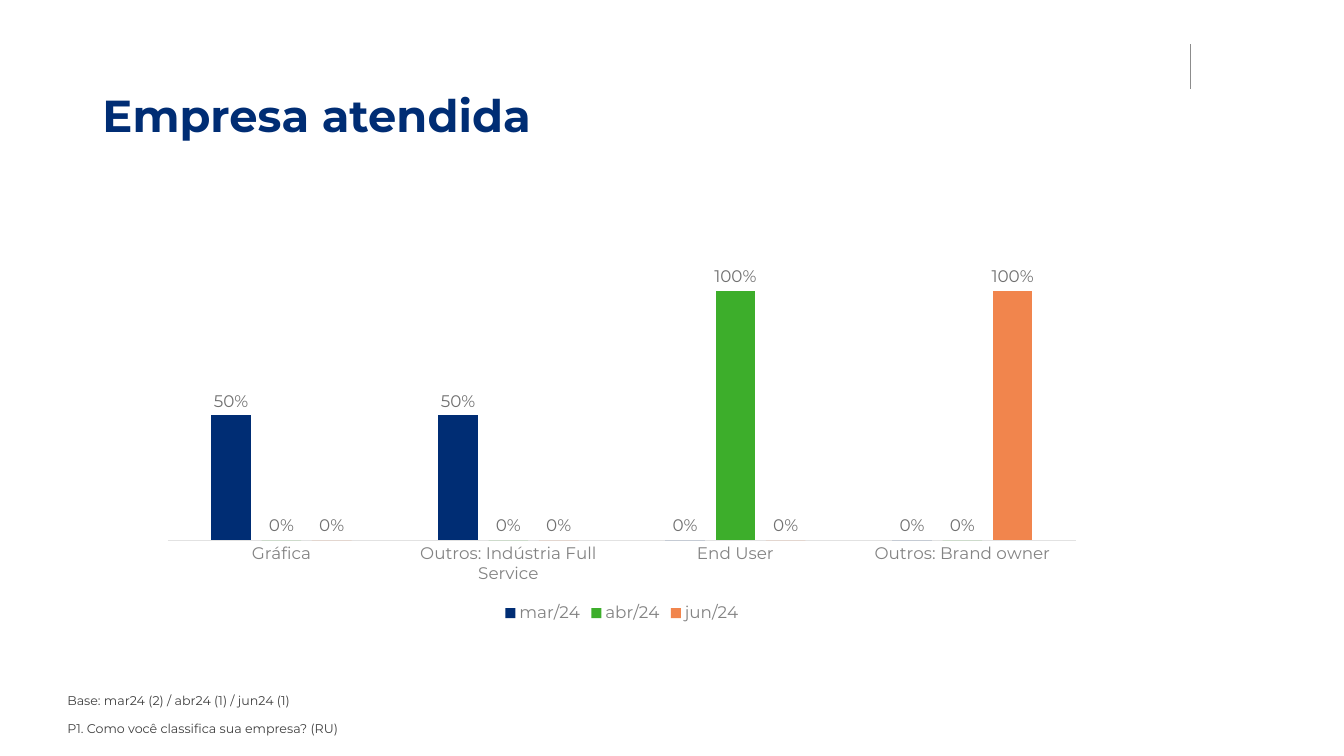
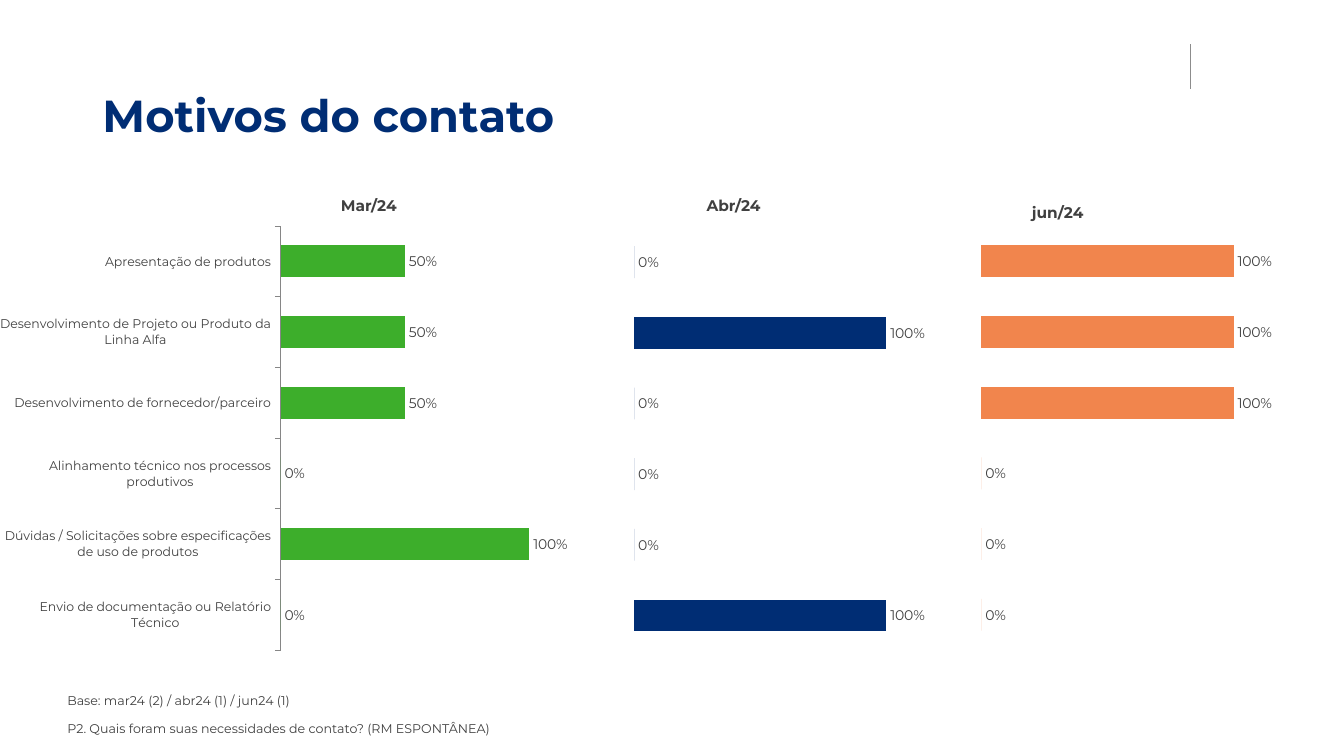
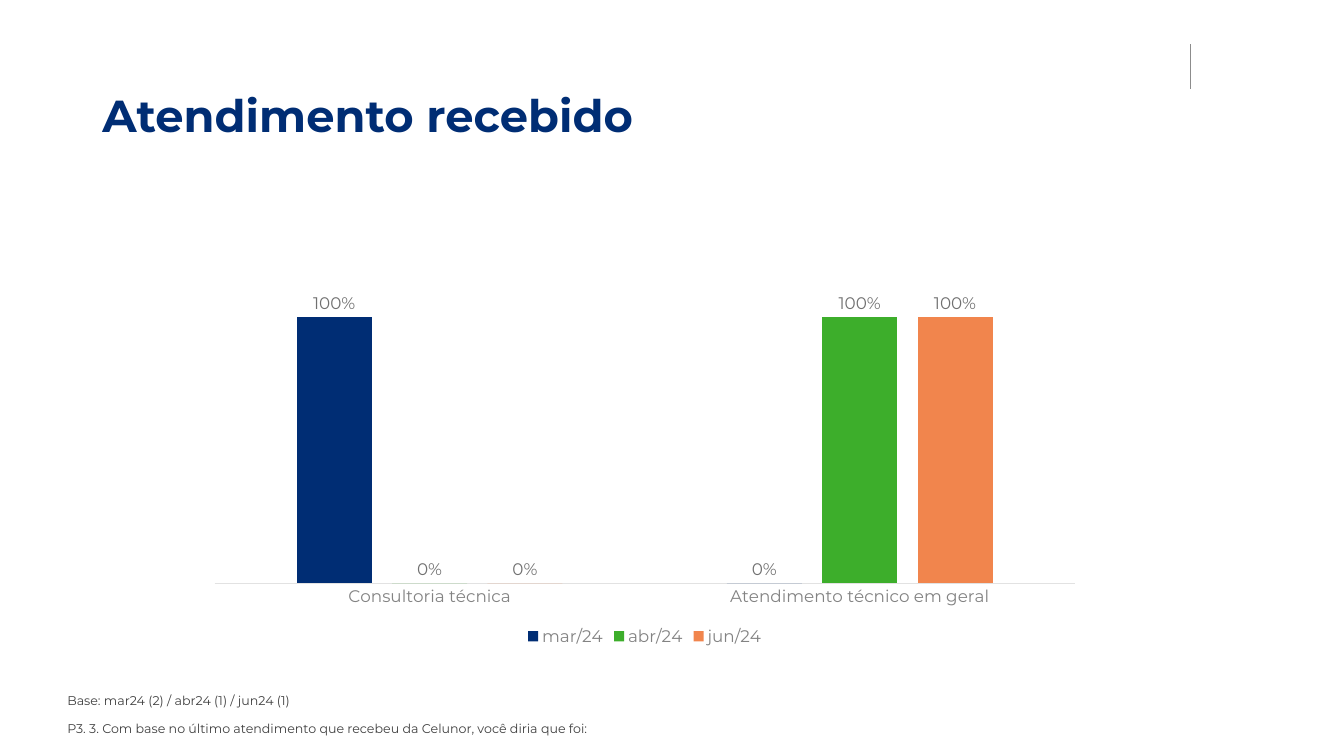
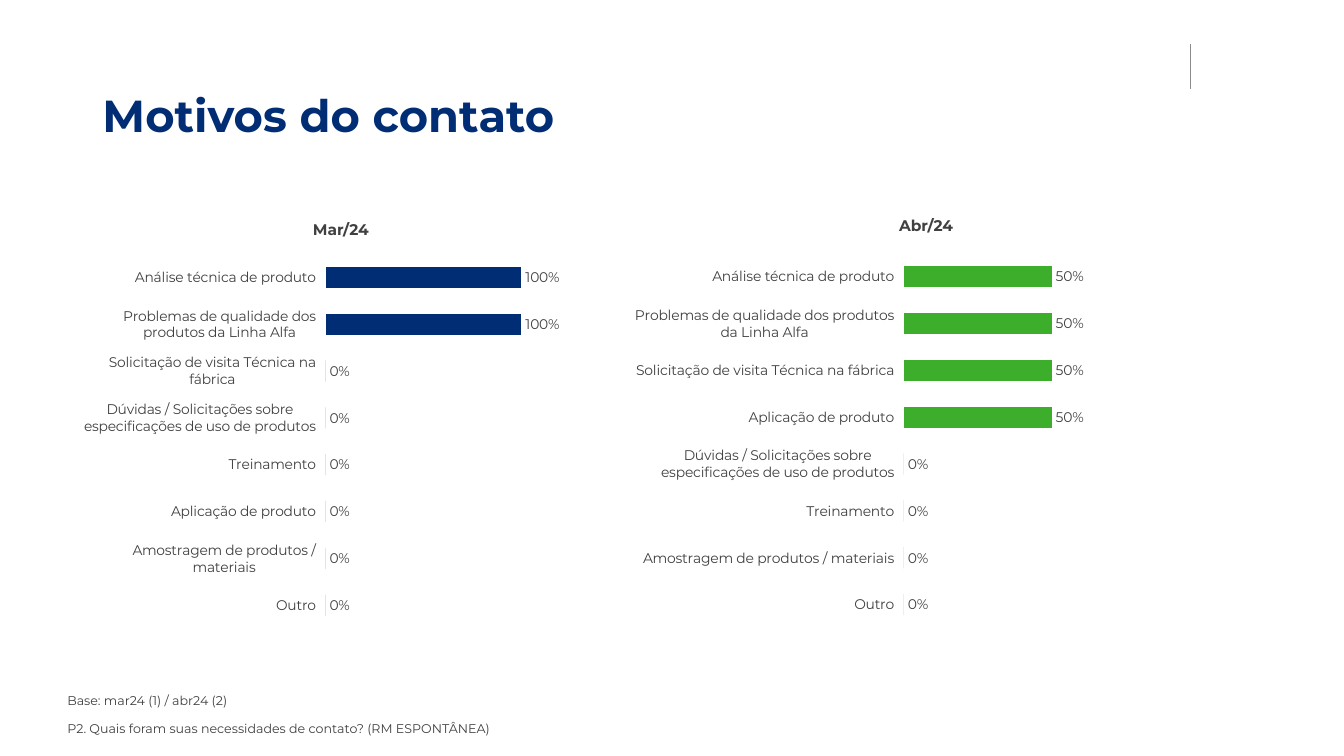
"""Build four slides of customer service survey results."""
from lxml import etree
from pptx import Presentation
from pptx.chart.data import CategoryChartData
from pptx.dml.color import RGBColor
from pptx.enum.chart import XL_CHART_TYPE as ChartType
from pptx.enum.chart import XL_LABEL_POSITION as LabelPosition
from pptx.enum.chart import XL_LEGEND_POSITION as LegendPosition
from pptx.enum.chart import XL_TICK_MARK as TickMark
from pptx.enum.shapes import MSO_CONNECTOR as Connector
from pptx.enum.text import MSO_ANCHOR as Anchor
from pptx.enum.text import MSO_AUTO_SIZE as AutoSize
from pptx.enum.text import PP_ALIGN as Align
from pptx.oxml.ns import qn
from pptx.util import Pt

FONT = "Montserrat"
NAVY, GREEN, ORANGE = "002D74", "3DAE2B", "F1854D"
TEXT, AXIS_TEXT, LABEL_TEXT = "404040", "838383", "707070"
RULE, BASELINE, AXIS, WHITE = "8C8C8C", "E2E2E2", "868686", "FFFFFF"
MONTHS = [("mar/24", NAVY), ("abr/24", GREEN), ("jun/24", ORANGE)]
BASE = "Base: mar24 (2) / abr24 (1) / jun24 (1)"
CONTACT_QUESTION = "P2. Quais foram suas necessidades de contato? (RM ESPONTÂNEA)"

PRODUCT_ANALYSIS = "Análise técnica de produto"
QUALITY = "Problemas de qualidade dos produtos da Linha Alfa"
VISIT = "Solicitação de visita Técnica na fábrica"
DOUBTS = "Dúvidas / Solicitações sobre especificações de uso de produtos"
TRAINING = "Treinamento"
APPLICATION = "Aplicação de produto"
SAMPLES = "Amostragem de produtos / materiais"
OTHER = "Outro"
CONTACT_REASONS = [
    "Apresentação de produtos",
    "Desenvolvimento de Projeto ou Produto da Linha Alfa",
    "Desenvolvimento de fornecedor/parceiro",
    "Alinhamento técnico nos processos produtivos",
    DOUBTS,
    "Envio de documentação ou Relatório Técnico",
]


def rgb(value):
    """Turn a hex string into a colour."""
    return RGBColor.from_string(value)


def set_font(font, size, color, bold=False):
    """Give a font the shared typeface with a size and colour."""
    font.name, font.size, font.bold = FONT, Pt(size), bold
    font.color.rgb = rgb(color)


def add_text(slide, box, lines, size, bold=False, align=Align.LEFT,
             anchor=Anchor.TOP, spacing=0.9, fill=None):
    """Add a text box with one paragraph per line."""
    shape = slide.shapes.add_textbox(*map(Pt, box))
    if fill:
        shape.fill.solid()
        shape.fill.fore_color.rgb = rgb(fill)
    frame = shape.text_frame
    frame.word_wrap = True
    frame.vertical_anchor = anchor
    frame.text = "\n".join(lines)
    for paragraph in frame.paragraphs:
        paragraph.alignment = align
        paragraph.line_spacing = spacing
        paragraph.space_before = Pt(10)
        set_font(paragraph.font, size, TEXT, bold)


def add_heading(slide, left, top, text, fill=None):
    """Add the month name above a bar chart."""
    add_text(slide, (left, top, 121, 24), [text], 11, True, Align.CENTER,
             Anchor.MIDDLE, 1.3, fill)


def add_rule(slide):
    """Add the thin vertical line at the top right."""
    rule = slide.shapes.add_connector(Connector.STRAIGHT, Pt(850), Pt(31.5), Pt(850), Pt(63.5))
    rule.line.color.rgb = rgb(RULE)
    rule.line.width = Pt(0.5)
    etree.SubElement(rule.element.spPr, qn("a:effectLst"))


def add_slide(presentation, title, base, question):
    """Add a slide with its title, rule and footnotes."""
    slide = presentation.slides.add_slide(presentation.slide_layouts[5])
    add_rule(slide)
    add_text(slide, (41, 492.5, 822, 38), [base, question], 9)
    shape = slide.shapes.title
    shape.left, shape.top, shape.width, shape.height = map(Pt, (66, 63.5, 448, 78))
    frame = shape.text_frame
    frame.text = title
    frame.auto_size = AutoSize.NONE
    frame.vertical_anchor = Anchor.TOP
    paragraph = frame.paragraphs[0]
    paragraph.alignment = Align.LEFT
    paragraph.line_spacing = 0.9
    set_font(paragraph.font, 32, NAVY, True)
    return slide


def add_chart(slide, kind, box, categories, series, gap, label_size, label_color):
    """Add a percentage chart from (name, colour, values) series."""
    data = CategoryChartData(number_format="0%")
    data.categories = categories
    for name, _, values in series:
        data.add_series(name, values)
    chart = slide.shapes.add_chart(kind, *map(Pt, box), data).chart
    set_font(chart.font, 10, TEXT)
    chart.has_title = chart.has_legend = False
    chart.value_axis.visible = False
    chart.value_axis.has_major_gridlines = False
    plot = chart.plots[0]
    plot.vary_by_categories = False
    plot.gap_width = gap
    for bars, (_, color, _) in zip(plot.series, series):
        bars.format.fill.solid()
        bars.format.fill.fore_color.rgb = rgb(color)
        bars.invert_if_negative = False
        labels = bars.data_labels
        labels.show_value = True
        labels.number_format = "0%"
        labels.number_format_is_linked = False
        labels.position = LabelPosition.OUTSIDE_END
        set_font(labels.font, label_size, label_color)
    return chart


def add_column_chart(slide, box, categories, values):
    """Add columns by month, with a legend below."""
    series = [(*month, row) for month, row in zip(MONTHS, values)]
    chart = add_chart(slide, ChartType.COLUMN_CLUSTERED, box, categories,
                      series, 219, 12, LABEL_TEXT)
    chart.plots[0].overlap = -27
    axis = chart.category_axis
    axis.major_tick_mark = TickMark.NONE
    axis.format.line.color.rgb = rgb(BASELINE)
    axis.format.line.width = Pt(0.75)
    set_font(axis.tick_labels.font, 12, AXIS_TEXT)
    chart.has_legend = True
    chart.legend.position = LegendPosition.BOTTOM
    chart.legend.include_in_layout = False
    set_font(chart.legend.font, 12, AXIS_TEXT)


def set_plot_layout(chart, left, width):
    """Fix the inner plot area as fractions of the chart."""
    area = chart.element.find(".//" + qn("c:plotArea"))
    for old in area.findall(qn("c:layout")):
        area.remove(old)
    layout = etree.Element(qn("c:layout"))
    manual = etree.SubElement(layout, qn("c:manualLayout"))
    settings = [("layoutTarget", "inner"), ("xMode", "edge"), ("yMode", "edge"),
                ("x", left), ("y", 0.005), ("w", width), ("h", 0.99)]
    for tag, value in settings:
        etree.SubElement(manual, qn("c:" + tag), val=str(value))
    area.insert(0, layout)


def add_bar_chart(slide, box, plot, categories, values, color,
                  show_categories=True, label_size=10, axis_line=None):
    """Add one month's horizontal bars, first category on top."""
    chart = add_chart(slide, ChartType.BAR_CLUSTERED, box, categories,
                      [("Series 1", color, values)], 122, 10, TEXT)
    chart.value_axis.minimum_scale, chart.value_axis.maximum_scale = 0, 1
    axis = chart.category_axis
    axis.reverse_order = True
    axis.visible = show_categories
    axis.major_tick_mark = TickMark.OUTSIDE
    set_font(axis.tick_labels.font, label_size, TEXT)
    if axis_line:
        axis.format.line.color.rgb = rgb(axis_line)
        axis.format.line.width = Pt(0.75)
    else:
        axis.format.line.fill.background()
    set_plot_layout(chart, *plot)


def add_company_slide(presentation):
    """Show the kinds of company served."""
    slide = add_slide(presentation, "Empresa atendida", BASE,
                      "P1. Como você classifica sua empresa? (RU)")
    categories = ["Gráfica", "Outros: Indústria Full Service", "End User",
                  "Outros: Brand owner"]
    add_column_chart(slide, (106.5, 166.5, 675.5, 281.5), categories,
                     [(0.5, 0.5, 0, 0), (0, 0, 1, 0), (0, 0, 0, 1)])


def add_contact_slide(presentation):
    """Compare contact reasons over three months."""
    slide = add_slide(presentation, "Motivos do contato", BASE, CONTACT_QUESTION)
    for left, top, text in [(203, 132.5, "Mar/24"), (463.5, 132.5, "Abr/24"),
                            (695, 137.5, "jun/24")]:
        add_heading(slide, left, top, text, WHITE)
    add_bar_chart(slide, (0, 160, 446.5, 306), (0.442, 0.403), CONTACT_REASONS,
                  (0.5, 0.5, 0.5, 0, 1, 0), GREEN, label_size=9, axis_line=AXIS)
    for left, top, values, color in [(327.5, 160.5, (0, 1, 0, 0, 0, 1), NAVY),
                                     (575.5, 160, (1, 1, 1, 0, 0, 0), ORANGE)]:
        add_bar_chart(slide, (left, top, 345, 306), (0.364, 0.522),
                      CONTACT_REASONS, values, color, show_categories=False)


def add_service_slide(presentation):
    """Show the kinds of service received."""
    slide = add_slide(
        presentation, "Atendimento recebido", BASE,
        "P3. 3. Com base no último atendimento que recebeu da Celunor, você diria que foi:")
    add_column_chart(slide, (140.5, 183, 640, 281.5),
                     ["Consultoria técnica", "Atendimento técnico em geral"],
                     [(1, 0), (0, 1), (0, 1)])


def add_technical_slide(presentation):
    """Compare technical contact reasons over two months."""
    slide = add_slide(presentation, "Motivos do contato",
                      "Base: mar24 (1) / abr24 (2)", CONTACT_QUESTION)
    add_heading(slide, 183, 150, "Mar/24")
    add_heading(slide, 601, 147, "Abr/24")
    march = [PRODUCT_ANALYSIS, QUALITY, VISIT, DOUBTS, TRAINING, APPLICATION,
             SAMPLES, OTHER]
    april = [PRODUCT_ANALYSIS, QUALITY, VISIT, APPLICATION, DOUBTS, TRAINING,
             SAMPLES, OTHER]
    add_bar_chart(slide, (60, 180, 360.5, 270.5), (0.471, 0.394), march,
                  [1] * 2 + [0] * 6, NAVY)
    add_bar_chart(slide, (453.5, 179.5, 412.5, 270.5), (0.461, 0.517), april,
                  [0.5] * 4 + [0] * 4, GREEN)


def main():
    """Build and save the presentation."""
    presentation = Presentation()
    presentation.slide_width, presentation.slide_height = Pt(960), Pt(540)
    add_company_slide(presentation)
    add_contact_slide(presentation)
    add_service_slide(presentation)
    add_technical_slide(presentation)
    presentation.save("out.pptx")


if __name__ == "__main__":
    main()
